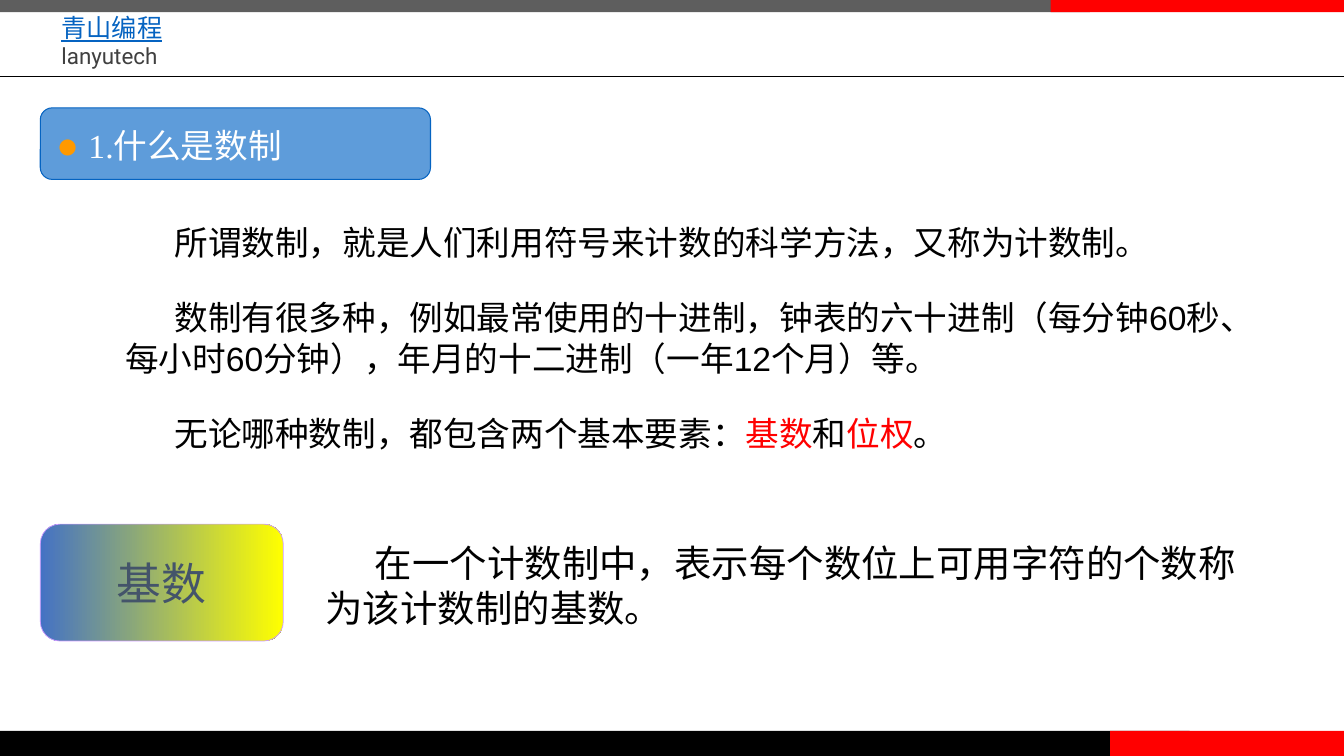
from pptx import Presentation
from pptx.util import Inches, Pt
from pptx.dml.color import RGBColor
from pptx.enum.shapes import MSO_SHAPE, MSO_CONNECTOR
from pptx.enum.text import PP_ALIGN, MSO_ANCHOR, MSO_AUTO_SIZE
from pptx.oxml.ns import qn
from lxml import etree

# Content: runs are (text, colour)
HEAD = [("● ", "orange", 26.7), ("1.什么是数制", "white", 24)]
BODY = [
    [("所谓数制，就是人们利用符号来计数的科学方法，又称为计数制。", "black")],
    [("数制有很多种，例如最常使用的十进制，钟表的六十进制（每分钟60秒、"
      "每小时60分钟），年月的十二进制（一年12个月）等。", "black")],
    [("无论哪种数制，都包含两个基本要素：", "black"), ("基数", "red"),
     ("和", "black"), ("位权", "red"), ("。", "black")],
]
TERM = "基数"
MEANING = "在一个计数制中，表示每个数位上可用字符的个数称为该计数制的基数。"
BRAND = [("青山编程", "link", 18), ("lanyutech", "dark", 16)]
HEX = dict(black="000000", white="FFFFFF", red="FF0000", grey="5E5E5E",
           dark="404040", link="0563C1", sky="5E9CDA", orange="FF9900",
           blue="4472C4", yellow="FFFF00", lilac="CC99FF", slate="44546A")
BARS = [(0, 0, 10.81, 0.12, "grey"), (0, 7.25, 11.8, 0.25, "black"),
        (11.01, 7.25, 2.32, 0.25, "red"), (10.42, 0, 2.91, 0.12, "red")]
CJK = "Noto Sans CJK SC"
WIDE = 13.33

deck = Presentation()
deck.slide_width, deck.slide_height = Inches(WIDE), Inches(7.5)
slide = deck.slides.add_slide(deck.slide_layouts[1])
shapes = slide.shapes


def color(name):
    return RGBColor.from_string(HEX[name])


def add_run(para, text, tint, size, font):
    run = para.add_run()
    run.text = text
    run.font.size, run.font.name = Pt(size), font
    run.font.color.rgb = color(tint)
    east = etree.SubElement(run._r.get_or_add_rPr(), qn("a:ea"))
    east.set("typeface", CJK)
    return run


def place(shape, left, top, width, height):
    shape.left, shape.top = Inches(left), Inches(top)
    shape.width, shape.height = Inches(width), Inches(height)


def set_frame(shape, anchor=MSO_ANCHOR.TOP, pad=None):
    frame = shape.text_frame
    frame.word_wrap, frame.auto_size = True, MSO_AUTO_SIZE.NONE
    frame.vertical_anchor = anchor
    if pad is not None:
        frame.margin_left = frame.margin_right = Inches(pad)
        frame.margin_top = frame.margin_bottom = Inches(pad)
    return frame


def add_box(kind, left, top, width, height, line=None, weight=0.5):
    box = shapes.add_shape(kind, Inches(left), Inches(top),
                           Inches(width), Inches(height))
    box.shadow.inherit = False
    if line:
        box.line.color.rgb, box.line.width = color(line), Pt(weight)
    else:
        box.line.fill.background()
    return box


def add_text(left, top, width, height):
    return shapes.add_textbox(Inches(left), Inches(top),
                              Inches(width), Inches(height))


def indent(para):
    props = para._p.get_or_add_pPr()
    props.set("marL", "0")
    props.set("indent", str(Inches(0.49)))
    etree.SubElement(props, qn("a:buNone"))


# Top and bottom bars
for *spot, tint in BARS:
    bar = add_box(MSO_SHAPE.RECTANGLE, *spot)
    bar.fill.solid()
    bar.fill.fore_color.rgb = color(tint)

# Brand lines and rule
frame = set_frame(add_text(0.55, 0.06, 2.91, 0.7), pad=0.06)
for i, (text, tint, size) in enumerate(BRAND):
    para = frame.add_paragraph() if i else frame.paragraphs[0]
    run = add_run(para, text, tint, size, "Roboto")
    run.font.underline = tint == "link"
rule = shapes.add_connector(MSO_CONNECTOR.STRAIGHT, 0, Inches(0.76),
                            Inches(WIDE), Inches(0.76))
rule.line.color.rgb, rule.line.width = color("black"), Pt(0.5)
etree.SubElement(rule._element.spPr, qn("a:effectLst"))

# Heading on its panel
panel = add_box(MSO_SHAPE.ROUNDED_RECTANGLE, 0.4, 1.07, 3.87, 0.71, "link", 0.75)
panel.fill.solid()
panel.fill.fore_color.rgb = color("sky")
title = shapes.title
place(title, 0.46, 1.12, 3.75, 0.6)
para = set_frame(title, MSO_ANCHOR.MIDDLE).paragraphs[0]
para.alignment = PP_ALIGN.LEFT
for text, tint, size in HEAD:
    add_run(para, text, tint, size, "Times New Roman")
panel._element.addnext(title._element)

# Explanation
body = slide.placeholders[1]
place(body, 1.14, 2.15, 11.66, 2.4)
frame = set_frame(body)
for i, runs in enumerate(BODY):
    para = frame.add_paragraph() if i else frame.paragraphs[0]
    para.space_before = Pt(25 if i else 0)
    indent(para)
    for text, tint in runs:
        add_run(para, text, tint, 24, "Arial")

# Term and its meaning
badge = add_box(MSO_SHAPE.ROUNDED_RECTANGLE, 0.4, 5.2, 2.41, 1.16, "lilac")
badge.fill.gradient()
badge.fill.gradient_angle = 0
for stop, tint, pos in zip(badge.fill.gradient_stops, ("blue", "yellow"), (0, 1)):
    stop.color.rgb, stop.position = color(tint), pos
para = set_frame(badge, MSO_ANCHOR.MIDDLE, 0).paragraphs[0]
para.alignment = PP_ALIGN.CENTER
add_run(para, TERM, "slate", 32, "Times New Roman")
para = set_frame(add_text(3.13, 5.31, 9.45, 1)).paragraphs[0]
indent(para)
add_run(para, MEANING, "black", 26.7, CJK)

deck.save("out.pptx")
